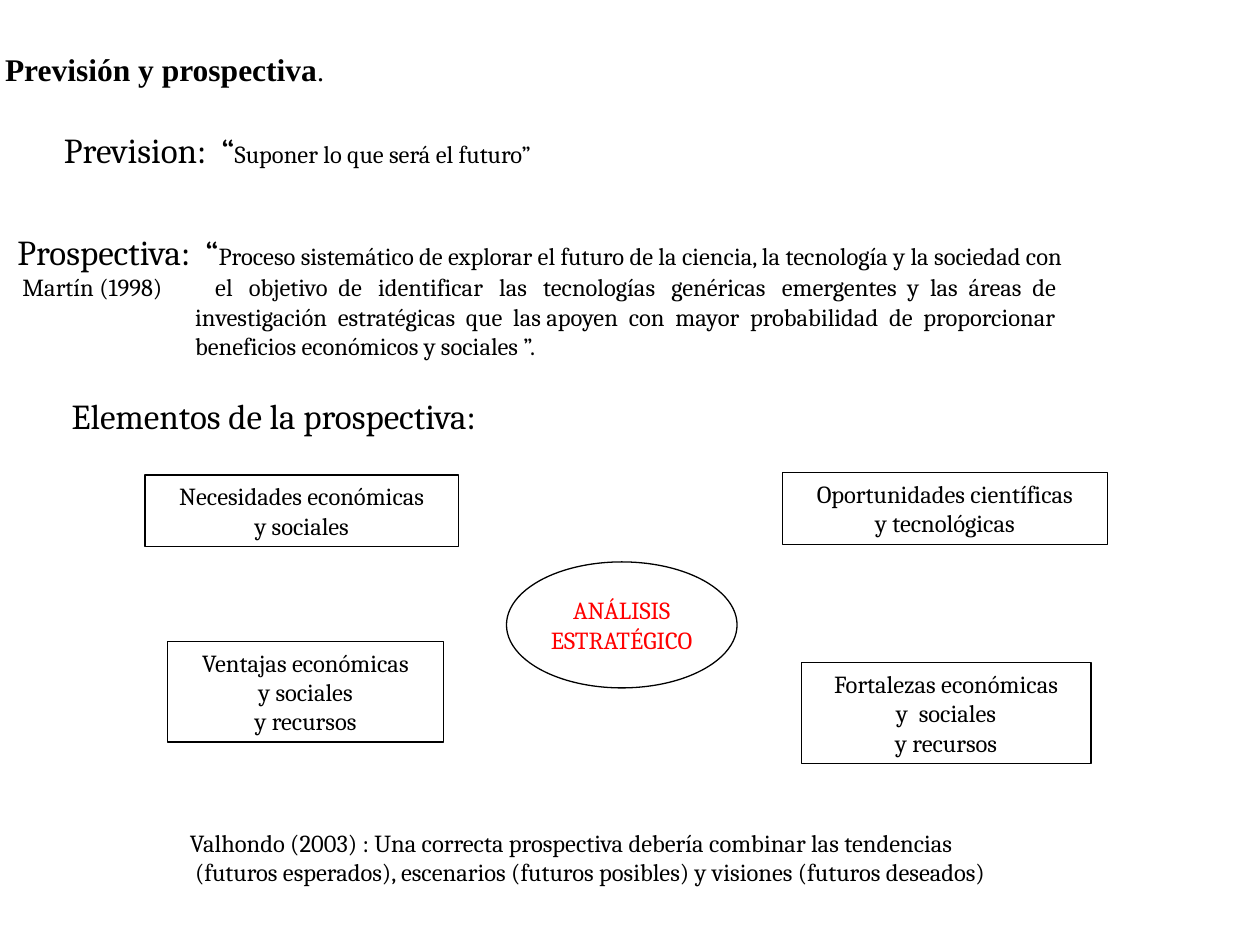
from dataclasses import dataclass

from lxml.etree import SubElement
from pptx import Presentation
from pptx.dml.color import RGBColor
from pptx.enum.shapes import MSO_SHAPE as Shape
from pptx.enum.text import MSO_ANCHOR as Anchor, MSO_AUTO_SIZE as AutoSize, PP_ALIGN as Align
from pptx.oxml.ns import qn
from pptx.util import Inches, Pt

COLORS = {"text": "000000", "accent": "FF0000", "line": "000000"}
HEADING = {"name": "Cambria", "size": Pt(20), "bold": False}
BODY = {"name": "Cambria", "size": Pt(14), "bold": False}
TITLE = {"name": "Times New Roman", "size": Pt(18), "bold": True}
TITLE_END = {"name": "Times New Roman", "size": Pt(16), "bold": False}


@dataclass
class Para:
    runs: list[tuple[str, dict]]
    indent: float = 0
    tab: float = 0


@dataclass
class TextBlock:
    box: tuple[float, float, float, float]
    paras: list[Para]


@dataclass
class Node:
    box: tuple[float, float, float, float]
    lines: list[str]
    kind: Shape = Shape.RECTANGLE
    color: str = "text"


def body(text: str, indent: float = 0, tab: float = 0) -> Para:
    return Para([(text, BODY)], indent, tab)


def place(sp, box: tuple[float, float, float, float]) -> None:
    sp.left, sp.top, sp.width, sp.height = map(Inches, box)


def write(sp, paras: list[Para], align: Align, anchor: Anchor,
          color: str = "text", wrap: bool = True) -> None:
    tf = sp.text_frame
    tf.auto_size = AutoSize.NONE
    tf.word_wrap = wrap
    tf.vertical_anchor = anchor
    for i, para in enumerate(paras):
        p = tf.paragraphs[0] if i == 0 else tf.add_paragraph()
        p.alignment = align
        pPr = p._p.get_or_add_pPr()
        if para.indent:
            pPr.set("marL", str(Inches(para.indent)))
        if para.tab:
            tabs = SubElement(pPr, qn("a:tabLst"))
            SubElement(tabs, qn("a:tab"), pos=str(Inches(para.tab)), algn="l")
        for text, style in para.runs:
            r = p.add_run()
            r.text = text
            for key, value in style.items():
                setattr(r.font, key, value)
            r.font.color.rgb = RGBColor.from_string(COLORS[color])


def add_text(s, block: TextBlock) -> None:
    sp = s.shapes.add_textbox(*map(Inches, block.box))
    write(sp, block.paras, Align.LEFT, Anchor.TOP)


def add_node(s, node: Node) -> None:
    sp = s.shapes.add_shape(node.kind, *map(Inches, node.box))
    sp.shadow.inherit = False
    sp.fill.background()
    sp.line.color.rgb = RGBColor.from_string(COLORS["line"])
    sp.line.width = Pt(0.75)
    write(sp, [body(line) for line in node.lines], Align.CENTER, Anchor.MIDDLE,
          node.color, wrap=False)


TEXTS = [
    TextBlock((0.41, 0.97, 4.6, 0.44), [
        Para([("Prevision:  “", HEADING), ("Suponer lo que será el futuro”", BODY)])]),
    TextBlock((0.04, 1.78, 9.9, 1.14), [
        Para([("Prospectiva:  “", HEADING),
              ("Proceso sistemático de explorar el futuro de la ciencia, "
               "la tecnología y la sociedad con", BODY)]),
        body("Martín (1998)\tel   objetivo  de   identificar   las   tecnologías   "
             "genéricas   emergentes  y  las  áreas  de", indent=0.04, tab=1.53),
        body("investigación  estratégicas  que  las apoyen  con  mayor  "
             "probabilidad  de  proporcionar", indent=1.41),
        body("beneficios económicos y sociales ”.", indent=1.41)]),
    TextBlock((0.47, 3.08, 3.99, 0.44), [Para([("Elementos de la prospectiva:", HEADING)])]),
    TextBlock((1.41, 6.52, 7.54, 0.57), [
        body("Valhondo (2003) : Una correcta prospectiva debería combinar las tendencias"),
        body("(futuros esperados), escenarios (futuros posibles) y visiones "
             "(futuros deseados)", indent=0.04)]),
]

NODES = [
    Node((1.15, 3.77, 2.49, 0.57), ["Necesidades económicas", "y sociales"]),
    Node((6.21, 3.75, 2.58, 0.57), ["Oportunidades científicas", "y tecnológicas"]),
    Node((1.33, 5.09, 2.19, 0.8), ["Ventajas económicas", "y sociales", "y recursos"]),
    Node((6.36, 5.26, 2.3, 0.8), ["Fortalezas económicas", "y  sociales", "y recursos"]),
    Node((4.02, 4.46, 1.83, 1), ["ANÁLISIS", "ESTRATÉGICO"], Shape.OVAL, "accent"),
]


def main() -> None:
    prs = Presentation()
    prs.slide_width, prs.slide_height = Inches(10), Inches(7.5)
    s = prs.slides.add_slide(prs.slide_layouts[5])

    # Title
    title = s.shapes.title
    place(title, (-0.06, 0.35, 3.15, 0.4))
    write(title, [Para([("Previsión y prospectiva", TITLE), (".", TITLE_END)])],
          Align.LEFT, Anchor.TOP)

    # Definitions, heading and citation
    for block in TEXTS:
        add_text(s, block)

    # Elements around the strategic analysis
    for node in NODES:
        add_node(s, node)

    prs.save("out.pptx")


if __name__ == "__main__":
    main()
